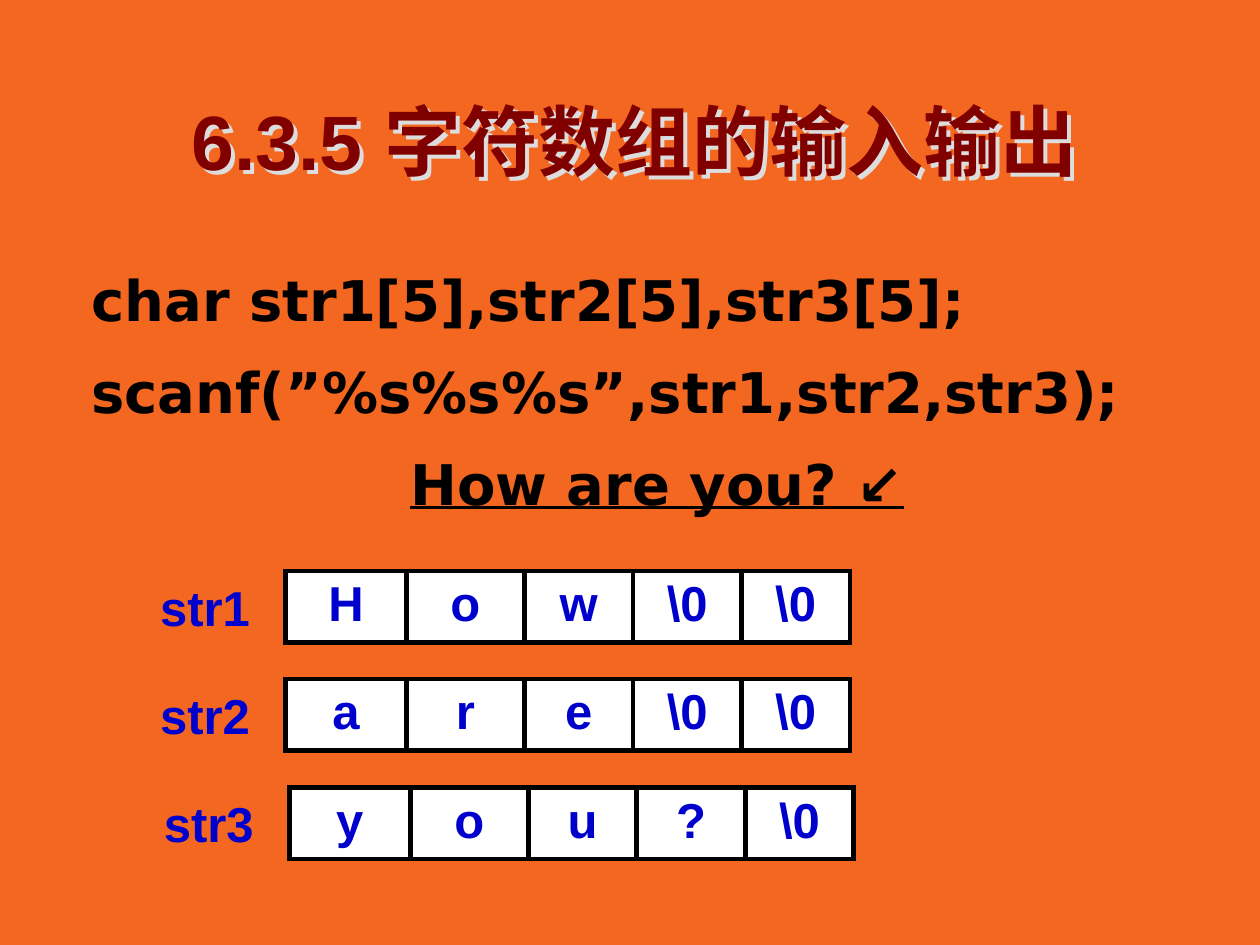
from dataclasses import dataclass

from lxml.etree import SubElement
from pptx import Presentation
from pptx.dml.color import RGBColor as RGB
from pptx.enum.text import MSO_ANCHOR as Anchor, MSO_AUTO_SIZE as AutoSize, PP_ALIGN as Align
from pptx.oxml import parse_xml
from pptx.oxml.ns import nsdecls, qn
from pptx.util import Pt


@dataclass(frozen=True)
class Theme:
    """Colours, fonts and type sizes of the deck."""
    back: str = "F36721"
    title: str = "800000"
    shadow: str = "DDDDDD"
    code: str = "000000"
    letter: str = "0000CC"
    cell: str = "FFFFFF"
    border: str = "000000"
    sans: str = "Arial"
    mono: str = "DejaVu Sans"
    title_size: int = 44
    code_size: int = 32
    letter_size: int = 28


T = Theme()
COLS = (69, 67.5, 62, 62, 62)
ROW_H = 40.8
LABEL_W, LABEL_STEP = 73.5, 78.8
ARRAYS = (
    ("str1", ("H", "o", "w", r"\0", r"\0"), 84.4),
    ("str2", ("a", "r", "e", r"\0", r"\0"), 84.4),
    ("str3", ("y", "o", "u", "?", r"\0"), 86.6),
)


def style(p, font, size, color):
    """Format every run of a paragraph in bold."""
    for r in p.runs:
        r.font.name, r.font.size, r.font.bold = font, Pt(size), True
        r.font.color.rgb = RGB.from_string(color)


def place(sp, x, y, w, h):
    """Move a shape to a box given in points."""
    sp.left, sp.top, sp.width, sp.height = Pt(x), Pt(y), Pt(w), Pt(h)


def add_title(s, text, x, y, w, h):
    """Fill the title placeholder with shadowed text."""
    sp = s.shapes.title
    place(sp, x, y, w, h)
    tf = sp.text_frame
    tf.text = text
    tf.vertical_anchor, tf.auto_size = Anchor.MIDDLE, AutoSize.SHAPE_TO_FIT_TEXT
    p = tf.paragraphs[0]
    p.alignment = Align.CENTER
    style(p, T.sans, T.title_size, T.title)
    sp.fill.background()
    sp._element.spPr.append(parse_xml(
        f'<a:effectLst {nsdecls("a")}><a:outerShdw dist="{Pt(3)}" dir="2700000">'
        f'<a:srgbClr val="{T.shadow}"/></a:outerShdw></a:effectLst>'))


def add_code(s, lines, x, y, w, h):
    """Fill the body placeholder, with the last line as typed input."""
    sp = s.placeholders[1]
    place(sp, x, y, w, h)
    tf = sp.text_frame
    tf.text = "\n".join(lines)
    tf.auto_size = AutoSize.NONE
    for p in tf.paragraphs:
        p.line_spacing = 1.2
        pPr = p._p.get_or_add_pPr()
        pPr.set("marL", str(Pt(27)))
        pPr.set("indent", str(Pt(-27)))
        SubElement(pPr, qn("a:buNone"))
        style(p, T.mono, T.code_size, T.code)
    p.alignment = Align.CENTER
    p.runs[0].font.underline = True


def add_borders(cell):
    """Draw all four borders of a table cell."""
    tcPr = cell._tc.get_or_add_tcPr()
    for i, side in enumerate("LRTB"):
        tcPr.insert(i, parse_xml(
            f'<a:ln{side} {nsdecls("a")} w="{Pt(3)}"><a:solidFill>'
            f'<a:srgbClr val="{T.border}"/></a:solidFill></a:ln{side}>'))


def add_array(s, name, letters, x, y):
    """Place an array name and its row of cells."""
    sp = s.shapes.add_textbox(Pt(x), Pt(y), Pt(LABEL_W), Pt(ROW_H))
    tf = sp.text_frame
    tf.text = name
    tf.word_wrap, tf.auto_size = True, AutoSize.SHAPE_TO_FIT_TEXT
    style(tf.paragraphs[0], T.sans, T.letter_size, T.letter)
    table = s.shapes.add_table(1, len(COLS), Pt(x + LABEL_STEP), Pt(y),
                               Pt(sum(COLS)), Pt(ROW_H)).table
    table.first_row = table.horz_banding = False
    for col, width, cell, letter in zip(table.columns, COLS, table.rows[0].cells, letters):
        col.width = Pt(width)
        cell.text = letter
        cell.fill.solid()
        cell.fill.fore_color.rgb = RGB.from_string(T.cell)
        add_borders(cell)
        p = cell.text_frame.paragraphs[0]
        p.alignment = Align.CENTER
        style(p, T.sans, T.letter_size, T.letter)


def main():
    """Build the slide and save it."""
    prs = Presentation()
    prs.slide_width, prs.slide_height = Pt(720), Pt(540)
    s = prs.slides.add_slide(prs.slide_layouts[1])
    s.background.fill.solid()
    s.background.fill.fore_color.rgb = RGB.from_string(T.back)
    add_title(s, "6.3.5 字符数组的输入输出", 22.6, 49.7, 680.4, 60.5)
    add_code(s, ("char str1[5],str2[5],str3[5];",
                 "scanf(”%s%s%s”,str1,str2,str3);",
                 "How are you? ↙"), 45, 140.4, 661, 219.6)
    for i, (name, letters, x) in enumerate(ARRAYS):
        add_array(s, name, letters, x, 326.2 + 61.9 * i)
    prs.save("out.pptx")


if __name__ == "__main__":
    main()
